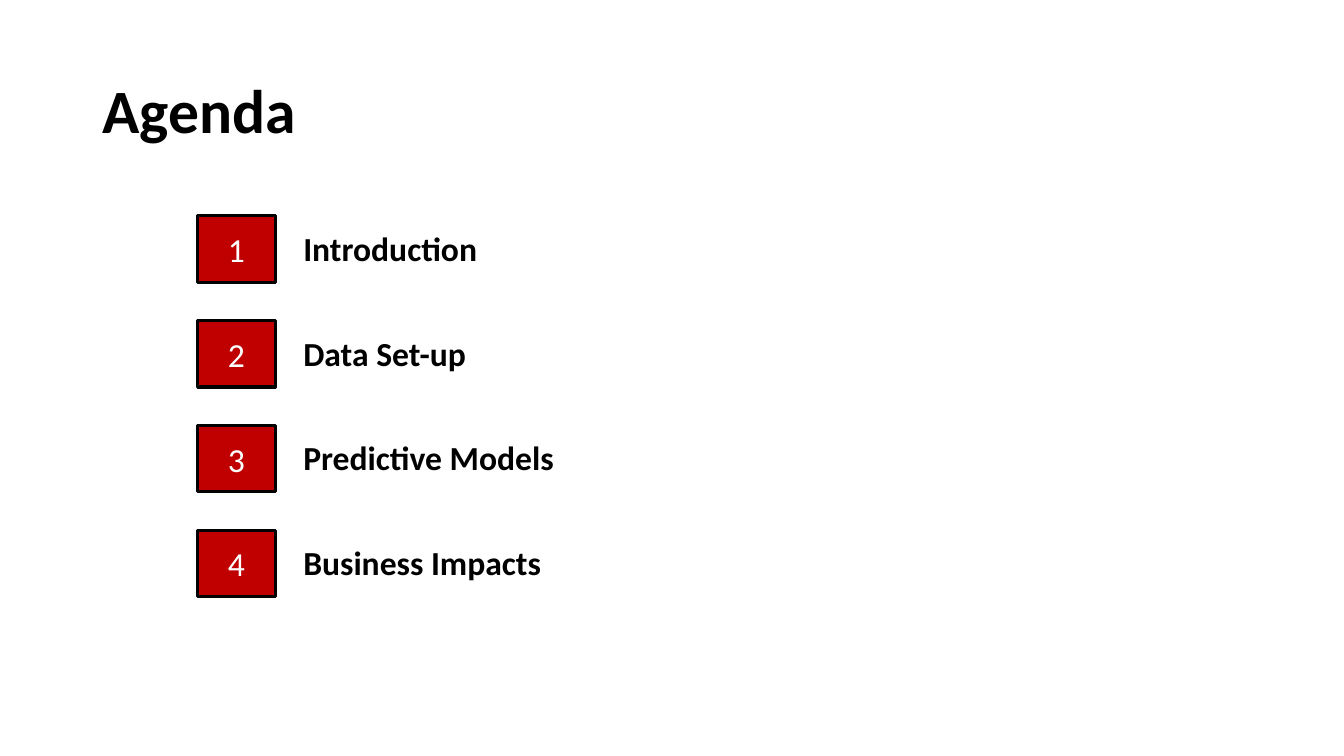
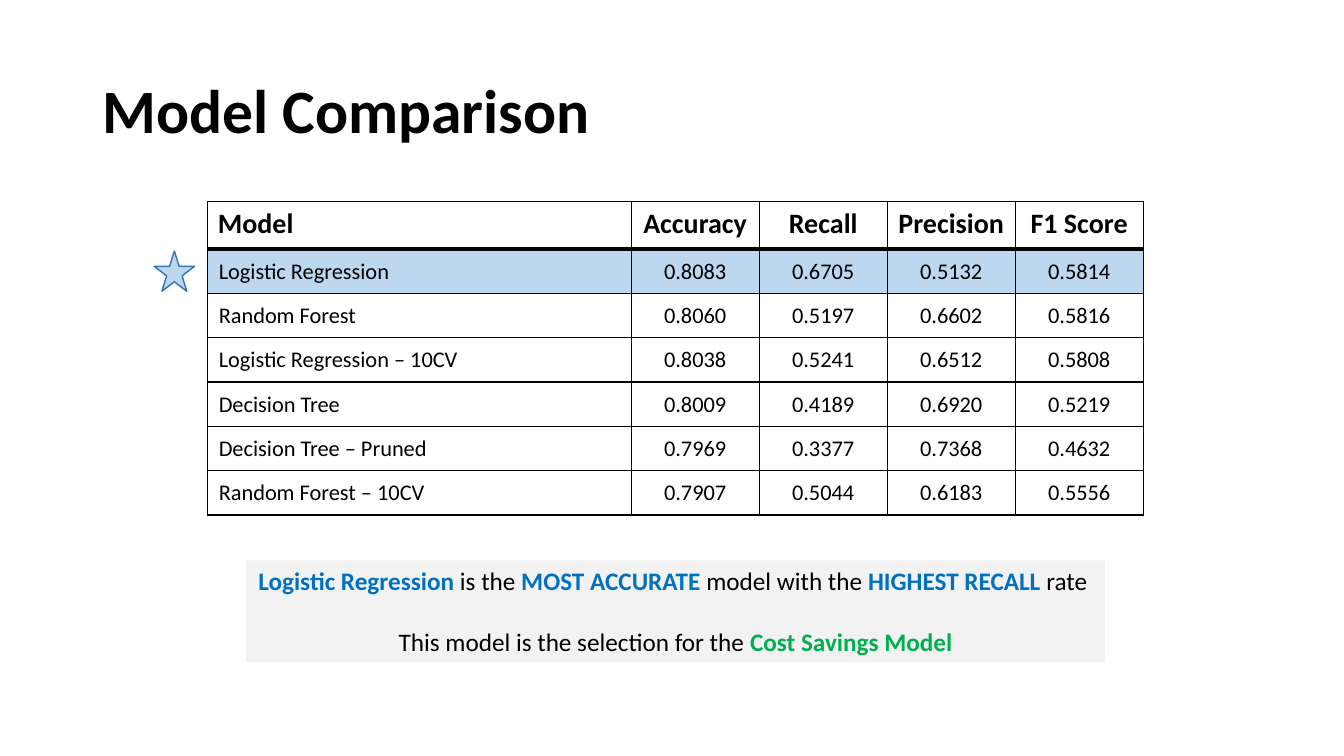
from lxml import etree
from pptx import Presentation
from pptx import util as u
from pptx.dml import color
from pptx.enum import shapes, text
from pptx.oxml import ns

PX = 9144  # 100 px to the inch
BLACK, WHITE, RED = "000000", "FFFFFF", "C00000"
BLUE, GREEN, SKY, STEEL, GREY = "0070C0", "00B050", "BDD7EE", "2E75B6", "F2F2F2"
MID, LEFT = text.PP_ALIGN.CENTER, text.PP_ALIGN.LEFT
ANCHOR = text.MSO_ANCHOR
KIND = shapes.MSO_SHAPE

TOPICS = ["Introduction", "Data Set-up", "Predictive Models", "Business Impacts"]
SCORES = [
    ["Model", "Accuracy", "Recall", "Precision", "F1 Score"],
    ["Logistic Regression", "0.8083", "0.6705", "0.5132", "0.5814"],
    ["Random Forest", "0.8060", "0.5197", "0.6602", "0.5816"],
    ["Logistic Regression – 10CV", "0.8038", "0.5241", "0.6512", "0.5808"],
    ["Decision Tree", "0.8009", "0.4189", "0.6920", "0.5219"],
    ["Decision Tree – Pruned", "0.7969", "0.3377", "0.7368", "0.4632"],
    ["Random Forest – 10CV", "0.7907", "0.5044", "0.6183", "0.5556"],
]
NOTE = [
    [("Logistic Regression ", BLUE), ("is the ", BLACK), ("MOST ACCURATE ", BLUE),
     ("model with the ", BLACK), ("HIGHEST RECALL ", BLUE), ("rate ", BLACK)],
    [("This model is the selection for the ", BLACK), ("Cost Savings Model", GREEN)],
]


def px(*vals):
    return [u.Emu(val * PX) for val in vals]


def rgb(code):
    return color.RGBColor.from_string(code)


def put(item, **vals):
    for name, val in vals.items():
        setattr(item, name, val)


def paint(fill, code):
    fill.solid()
    fill.fore_color.rgb = rgb(code)


def write(para, words, size, tint=BLACK, bold=False, align=LEFT):
    """Add one run to a paragraph."""
    para.alignment = align
    run = para.add_run()
    run.text = words
    put(run.font, name="Calibri", size=u.Pt(size), bold=bold)
    run.font.color.rgb = rgb(tint)


def label(slide, box, words, size, anchor=ANCHOR.TOP):
    """Place bold text in a plain box."""
    frame = slide.shapes.add_textbox(*px(*box)).text_frame
    put(frame, word_wrap=True, vertical_anchor=anchor)
    write(frame.paragraphs[0], words, size, bold=True)
    return frame


def block(slide, kind, box, fill, line=None, width=1):
    """Place a filled shape, with an outline if a line colour is given."""
    shape = slide.shapes.add_shape(kind, *px(*box))
    shape.shadow.inherit = False
    paint(shape.fill, fill)
    if line:
        paint(shape.line.fill, line)
        shape.line.width = u.Pt(width)
    else:
        shape.line.fill.background()
    put(shape.text_frame, word_wrap=True, vertical_anchor=ANCHOR.MIDDLE)
    return shape.text_frame


def page(deck, title):
    slide = deck.slides.add_slide(deck.slide_layouts[6])
    frame = label(slide, (92, 40, 1150, 145), title, 44, ANCHOR.MIDDLE)
    frame.paragraphs[0].line_spacing = 0.9
    return slide


def agenda(slide, left, top, pitch):
    for num, topic in enumerate(TOPICS):
        y = top + num * pitch
        frame = block(slide, KIND.RECTANGLE, (left, y, 77, 66), RED, BLACK, 2.25)
        write(frame.paragraphs[0], str(num + 1), 24, WHITE, align=MID)
        label(slide, (left + 95, y + 7, 300, 50), topic, 24)


def border(cell, **widths):
    """Draw black cell edges; widths are in points, keyed L, R, T, B."""
    props = cell._tc.get_or_add_tcPr()
    for spot, (side, width) in enumerate(widths.items()):
        edge = etree.Element(ns.qn("a:ln" + side), w=str(u.Pt(width)))
        fill = etree.SubElement(edge, ns.qn("a:solidFill"))
        etree.SubElement(fill, ns.qn("a:srgbClr"), val=BLACK)
        props.insert(spot, edge)


def grid(slide, left, top):
    wides, highs = [420] + [127] * 4, [47] + [44] * 6
    area = px(left, top, sum(wides), sum(highs))
    table = slide.shapes.add_table(len(highs), len(wides), *area).table
    put(table, first_row=False, horz_banding=False)
    for col, wide in zip(table.columns, px(*wides)):
        col.width = wide
    for r, (row, high) in enumerate(zip(table.rows, px(*highs))):
        row.height = high
        for c, cell in enumerate(row.cells):
            paint(cell.fill, SKY if r == 1 else WHITE)
            border(cell, L=1, R=1, T=3 if r == 1 else 1, B=1 if r else 3)
            if r:
                side, thin, none = px(1 if c else 11, 1, 0)
                put(cell, vertical_anchor=ANCHOR.MIDDLE, margin_left=side,
                    margin_right=thin, margin_top=thin, margin_bottom=none)
            write(cell.text_frame.paragraphs[0], SCORES[r][c],
                  16 if r else 20, bold=not r, align=MID if c else LEFT)


def note(slide, box):
    frame = block(slide, KIND.RECTANGLE, box, GREY)
    for num, parts in enumerate(NOTE):
        para = frame.add_paragraph() if num else frame.paragraphs[0]
        para.space_before = u.Pt(22 * num)
        for words, tint in parts:
            write(para, words, 18, tint, tint != BLACK, MID)


def main():
    deck = Presentation()
    wide, high = px(1333, 750)
    put(deck, slide_width=wide, slide_height=high)
    agenda(page(deck, "Agenda"), 196, 214, 104)
    slide = page(deck, "Model Comparison")
    grid(slide, 206, 200)
    note(slide, (244, 556, 852, 101))
    block(slide, KIND.STAR_5_POINT, (153, 249, 40, 40), SKY, STEEL)
    deck.save("out.pptx")


if __name__ == "__main__":
    main()
